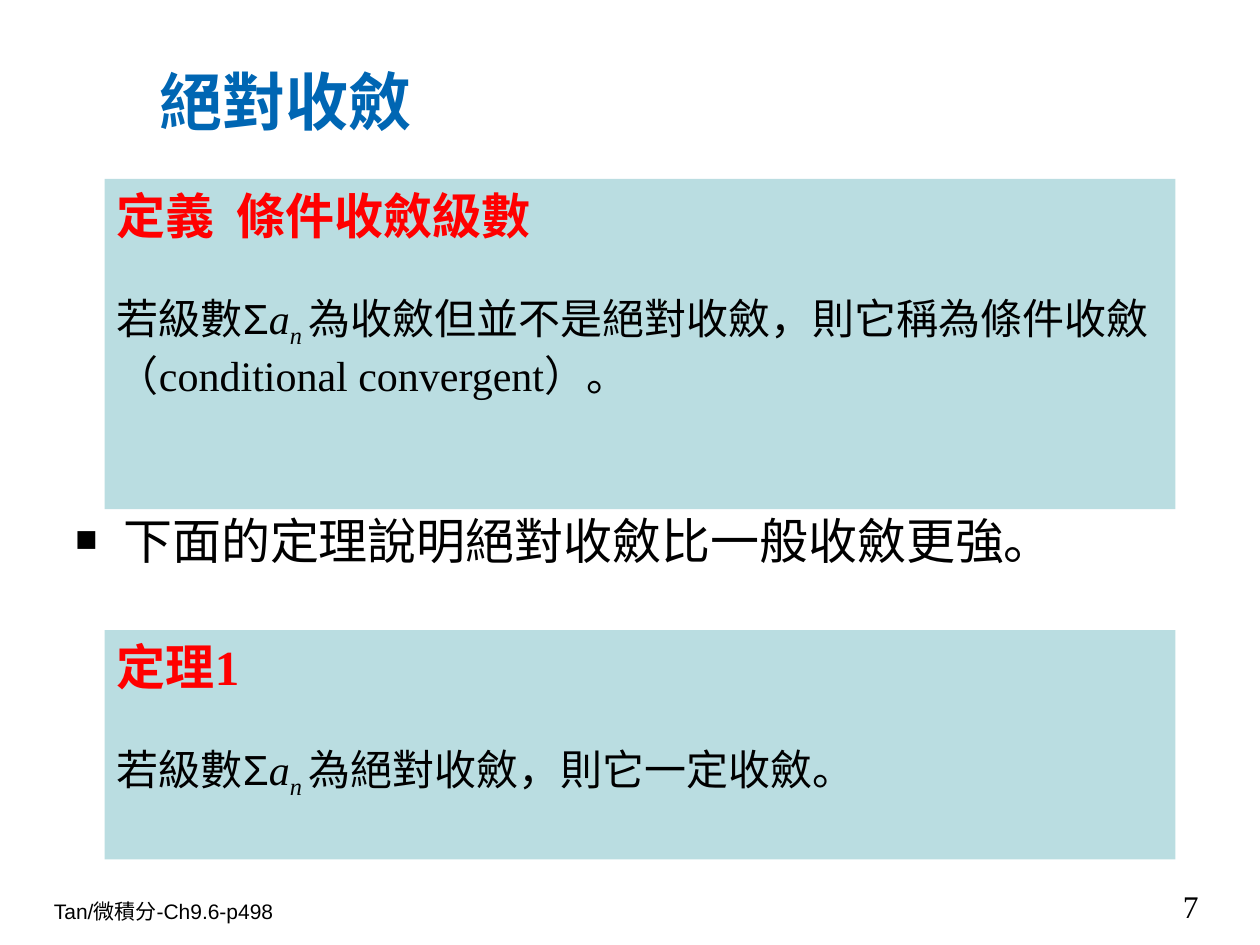
"""Build a calculus slide on absolute and conditional convergence."""
import dataclasses
import typing

import lxml.etree
import pptx
import pptx.dml.color
import pptx.enum.shapes
import pptx.enum.text
import pptx.oxml.ns
import pptx.util

PX = 9144
BLACK, RED, BLUE, TEAL = "000000", "FF0000", "0066B3", "BADDE1"
ROMAN, SANS = "Times New Roman", "Arial"


@dataclasses.dataclass
class Run:
    text: str
    size: int = 24
    color: str = BLACK
    font: str = ROMAN
    bold: bool = False
    slant: bool = False
    sub: bool = False


@dataclasses.dataclass
class Line:
    runs: typing.List[Run]
    gap: float = 0


@dataclasses.dataclass
class Box:
    left: int
    top: int
    width: int
    height: int
    lines: typing.List[Line]
    fill: str = ""
    middle: bool = False
    bullet: str = ""


def paint(code: str) -> pptx.dml.color.RGBColor:
    return pptx.dml.color.RGBColor.from_string(code)


def write(para, line: Line) -> None:
    para.alignment = pptx.enum.text.PP_ALIGN.LEFT
    if line.gap:
        para.space_before = pptx.util.Pt(line.gap)
    for part in line.runs:
        run = para.add_run()
        run.text = part.text
        font = run.font
        font.size = pptx.util.Pt(part.size)
        font.name = part.font
        font.bold = part.bold
        font.italic = part.slant
        font.color.rgb = paint(part.color)
        if part.sub:
            run._r.get_or_add_rPr().set("baseline", "-25000")


def mark(para, sign: str) -> None:
    props = para._p.get_or_add_pPr()
    dent = 38 * PX
    props.set("marL", str(dent))
    props.set("indent", str(-dent))
    for tag, key, value in (("a:buSzPct", "val", "75000"),
                            ("a:buFont", "typeface", ROMAN),
                            ("a:buChar", "char", sign)):
        lxml.etree.SubElement(props, pptx.oxml.ns.qn(tag)).set(key, value)


def draw(slide, box: Box) -> None:
    place = [n * PX for n in (box.left, box.top, box.width, box.height)]
    if box.fill:
        kind = pptx.enum.shapes.MSO_SHAPE.RECTANGLE
        shape = slide.shapes.add_shape(kind, *place)
        shape.shadow.inherit = False
        shape.fill.solid()
        shape.fill.fore_color.rgb = paint(box.fill)
        shape.line.fill.background()
    else:
        shape = slide.shapes.add_textbox(*place)
    frame = shape.text_frame
    frame.word_wrap = True
    anchor = pptx.enum.text.MSO_ANCHOR
    frame.vertical_anchor = anchor.MIDDLE if box.middle else anchor.TOP
    for i, line in enumerate(box.lines):
        para = frame.add_paragraph() if i else frame.paragraphs[0]
        if box.bullet:
            mark(para, box.bullet)
        write(para, line)


def plain(text: str, size: int, **style) -> typing.List[Line]:
    return [Line([Run(text, size, **style)])]


def panel(top: int, height: int, head: str, claim: str, *more: str) -> Box:
    series = [Run("若級數"), Run("Σ", font=SANS), Run("a", slant=True),
              Run("n ", slant=True, sub=True), Run(claim)]
    lines = plain(head, 28, color=RED, bold=True) + [Line(series, 27.6)]
    lines += [Line([Run(text)]) for text in more]
    return Box(83, top, 850, height, lines, fill=TEAL)


def main() -> None:
    deck = pptx.Presentation()
    deck.slide_width, deck.slide_height = 1000 * PX, 750 * PX
    slide = deck.slides.add_slide(deck.slide_layouts[6])
    boxes = [
        Box(929, 699, 71, 40, plain("7", 18)),
        Box(117, 42, 822, 75, plain("絕對收斂", 36, color=BLUE, bold=True),
            middle=True),
        Box(50, 400, 900, 66,
            plain("下面的定理說明絕對收斂比一般收斂更強。", 28), bullet="■"),
        Box(33, 708, 937, 30, plain("Tan/微積分-Ch9.6-p498", 12, font=SANS)),
        panel(500, 182, "定理1", "為絕對收斂，則它一定收斂。"),
        panel(142, 262, "定義  條件收斂級數",
              "為收斂但並不是絕對收斂，則它稱為條件收斂",
              "（conditional convergent）。"),
    ]
    for box in boxes:
        draw(slide, box)
    deck.save("out.pptx")


if __name__ == "__main__":
    main()
